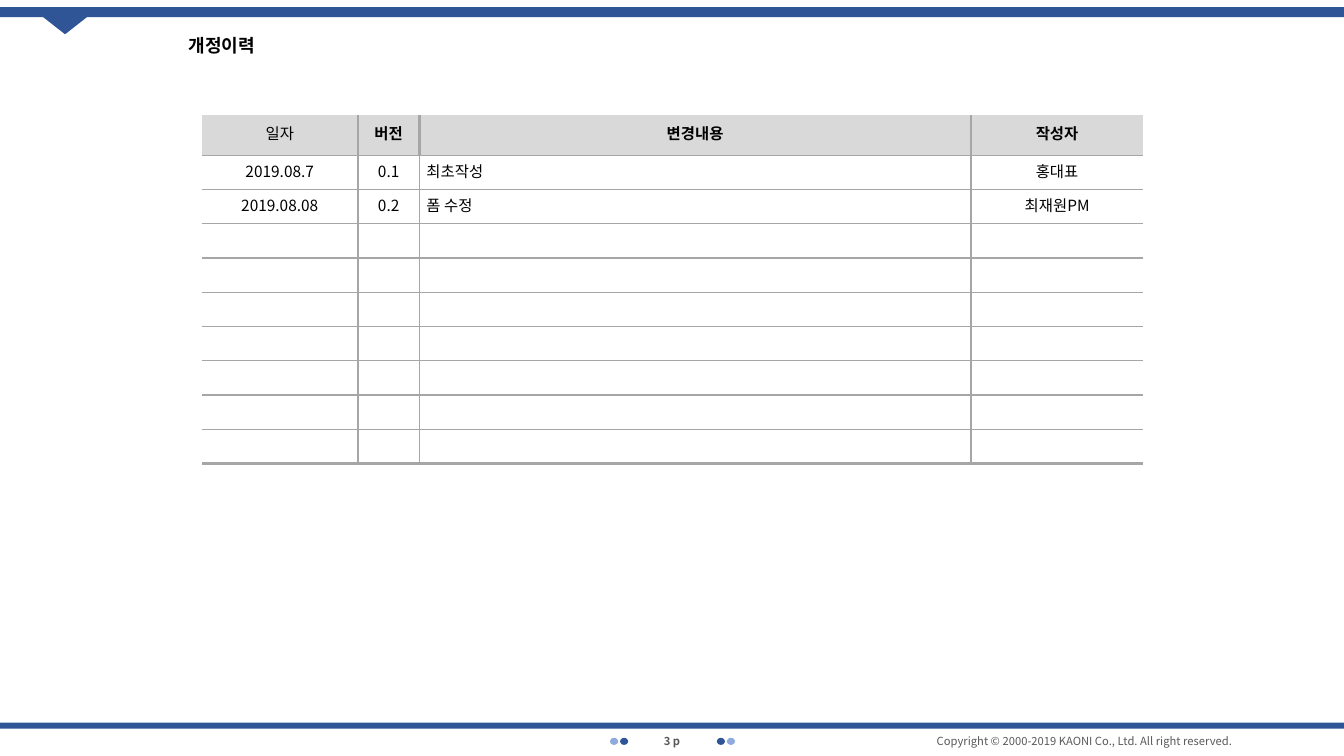
"""Build the revision history slide."""
from lxml import etree
from pptx import Presentation
from pptx.dml.color import RGBColor
from pptx.enum.shapes import MSO_SHAPE as Shape
from pptx.enum.text import MSO_ANCHOR as Anchor, PP_ALIGN as Align
from pptx.oxml.ns import qn
from pptx.util import Inches, Pt

FONT = "Noto Sans CJK KR"
BLUE = RGBColor(0x2F, 0x55, 0x97)
LIGHT_BLUE = RGBColor(0x8F, 0xAA, 0xDC)
GREY_TEXT = RGBColor(0x59, 0x59, 0x59)
HEADER_FILL = RGBColor(0xD9, 0xD9, 0xD9)
RULE = RGBColor(0xA6, 0xA6, 0xA6)
BLACK = RGBColor(0, 0, 0)


def write(frame, text, size, color, bold, align, anchor):
    frame.vertical_anchor = anchor
    paragraph = frame.paragraphs[0]
    paragraph.alignment = align
    if text:
        run = paragraph.add_run()
        run.text = text
        formats = {"size": Pt(size), "bold": bold, "name": FONT}
        for name, value in formats.items():
            setattr(run.font, name, value)
        run.font.color.rgb = color
        etree.SubElement(run.font._element, qn("a:ea"), typeface=FONT)
    return paragraph


def add_border(cell, side, width):
    line = etree.SubElement(cell._tc.get_or_add_tcPr(), qn(f"a:ln{side}"), w=str(Pt(width)))
    if width:
        fill = etree.SubElement(line, qn("a:solidFill"))
        etree.SubElement(fill, qn("a:srgbClr"), val=str(RULE))
    else:
        etree.SubElement(line, qn("a:noFill"))


presentation = Presentation()
presentation.slide_width = Inches(13.33)
presentation.slide_height = Inches(7.5)
slide = presentation.slides.add_slide(presentation.slide_layouts[5])

decorations = [
    (Shape.RECTANGLE, 0, 7.17, 13.33, 0.06, BLUE, 0),
    (Shape.RECTANGLE, 0, 0.07, 13.33, 0.1, BLUE, 0),
    (Shape.ISOSCELES_TRIANGLE, 0.39, 0.14, 0.51, 0.2, BLUE, 180),
]
for left, color in [(6.05, LIGHT_BLUE), (6.15, BLUE), (7.11, BLUE), (7.21, LIGHT_BLUE)]:
    decorations.append((Shape.OVAL, left, 7.32, 0.08, 0.07, color, 0))
for kind, left, top, width, height, color, rotation in decorations:
    shape = slide.shapes.add_shape(kind, Inches(left), Inches(top), Inches(width), Inches(height))
    shape.shadow.inherit = False
    shape.fill.solid()
    shape.fill.fore_color.rgb = color
    shape.line.fill.background()
    shape.rotation = rotation

footers = [
    ("3 p", 6.14, 1.05, True, Align.CENTER),
    ("Copyright © 2000-2019 KAONI Co., Ltd. All right reserved.", 9.29, 3.01, False, Align.LEFT),
]
for text, left, width, bold, align in footers:
    box = slide.shapes.add_textbox(Inches(left), Inches(7.23), Inches(width), Inches(0.25))
    for side in ("left", "right", "top", "bottom"):
        setattr(box.text_frame, f"margin_{side}", 0)
    write(box.text_frame, text, 8, GREY_TEXT, bold, align, Anchor.MIDDLE)

title = slide.shapes.title
title_place = {"left": 1.77, "top": 0.29, "width": 6.45, "height": 0.33}
for name, value in title_place.items():
    setattr(title, name, Inches(value))
write(title.text_frame, "개정이력", 12.9, BLACK, True, Align.LEFT, Anchor.TOP)

revisions = [
    ("일자", "버전", "변경내용", "작성자"),
    ("2019.08.7", "0.1", "최초작성", "홍대표"),
    ("2019.08.08", "0.2", "폼 수정", "최재원PM"),
]
column_widths = [1.55, 0.61, 5.47, 1.71]
row_count, column_count = 10, len(column_widths)
table = slide.shapes.add_table(
    row_count, column_count, Inches(2), Inches(1.14), Inches(9.34), Inches(3.45)).table
table.first_row = False
table.horz_banding = False
for column, width in zip(table.columns, column_widths):
    column.width = Inches(width)
for row_index, row in enumerate(table.rows):
    header = row_index == 0
    row.height = Inches(0.4 if header else 0.34)
    texts = revisions[row_index] if row_index < len(revisions) else [""] * column_count
    for column_index, text in enumerate(texts):
        cell = row.cells[column_index]
        for side, margin in {"left": 0.07, "right": 0.07, "top": 0, "bottom": 0}.items():
            setattr(cell, f"margin_{side}", Inches(margin))
        upright = 2.25 if header else 1
        widths = {
            "L": upright if column_index else 0,
            "R": upright if column_index < column_count - 1 else 0,
            "T": 0 if header else 1,
            "B": 2.25 if row_index == row_count - 1 else 1,
        }
        for side, width in widths.items():
            add_border(cell, side, width)
        if header:
            cell.fill.solid()
            cell.fill.fore_color.rgb = HEADER_FILL
        else:
            cell.fill.background()
        align = Align.LEFT if column_index == 2 and not header else Align.CENTER
        paragraph = write(cell.text_frame, text, 11, BLACK, header and column_index > 0,
                          align, Anchor.MIDDLE)
        paragraph.line_spacing = Pt(13)
        cell.vertical_anchor = Anchor.MIDDLE

presentation.save("out.pptx")
